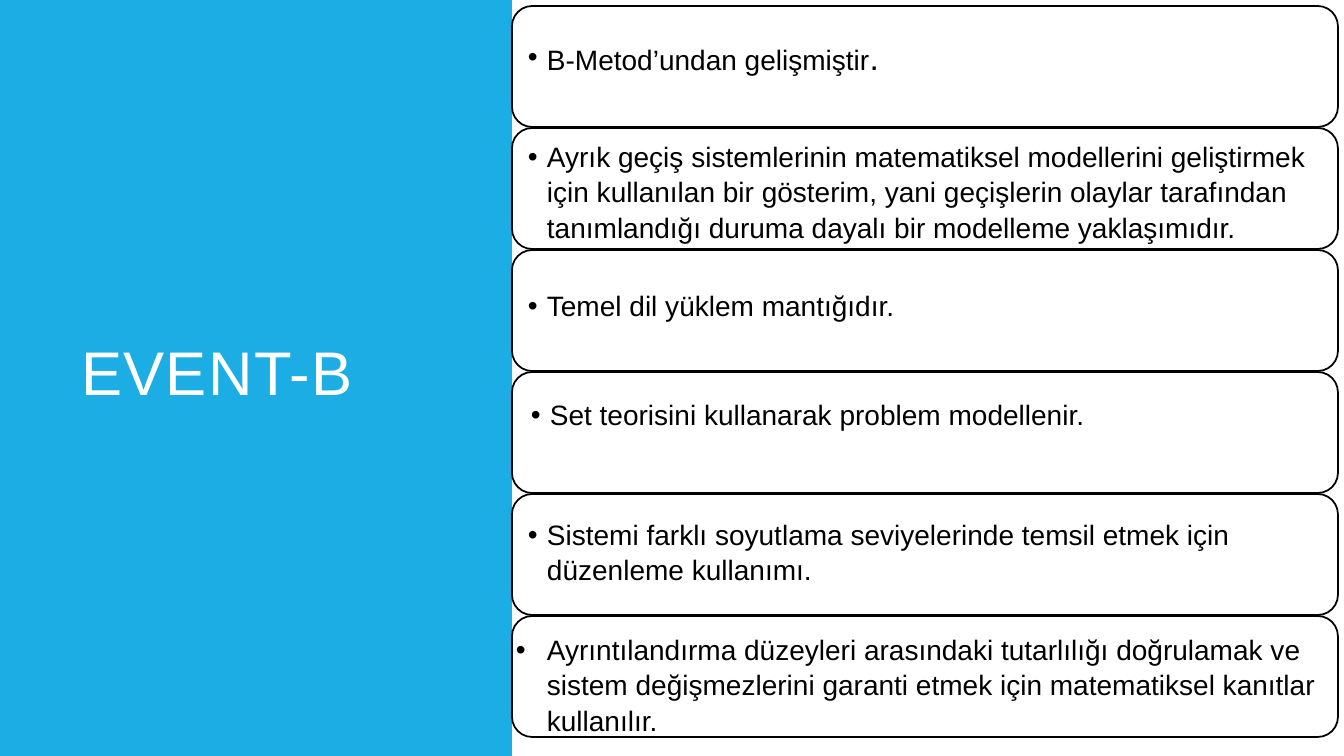
from pptx import Presentation
from pptx.dml.color import RGBColor
from pptx.enum.shapes import MSO_SHAPE as Preset
from pptx.enum.text import MSO_ANCHOR as Anchor, MSO_AUTO_SIZE as AutoSize, PP_ALIGN as Align
from pptx.oxml.ns import qn
from pptx.util import Pt
from lxml.etree import SubElement

THEME = {
    "font": "Arial",
    "blue": RGBColor(0x1C, 0xAD, 0xE4),
    "white": RGBColor(0xFF, 0xFF, 0xFF),
    "black": RGBColor(0x00, 0x00, 0x00),
    "title_size": 44,
    "body_size": 20,
    "period_size": 24,
    "outline": 1.25,
}


def px(*lengths):
    scaled = [round(length * 914400 / 100.8) for length in lengths]
    return scaled if len(scaled) > 1 else scaled[0]


def add_run(paragraph, text, size, color):
    run = paragraph.add_run()
    run.text = text
    run.font.name = THEME["font"]
    run.font.size = Pt(size)
    run.font.color.rgb = color
    return run


presentation = Presentation()
presentation.slide_width, presentation.slide_height = px(1344, 756)
slide = presentation.slides.add_slide(presentation.slide_layouts[5])

panel = slide.shapes.add_shape(Preset.RECTANGLE, *px(0, 0, 512, 756))
panel.shadow.inherit = False
panel.fill.solid()
panel.fill.fore_color.rgb = THEME["blue"]
panel.line.fill.background()

title = slide.shapes.title
title.left, title.top, title.width, title.height = px(71, 71, 377, 614)
slide.shapes._spTree.append(title._element)
title_frame = title.text_frame
title_frame.word_wrap = True
title_frame.auto_size = AutoSize.NONE
title_frame.vertical_anchor = Anchor.MIDDLE
title_paragraph = title_frame.paragraphs[0]
title_paragraph.alignment = Align.LEFT
title_paragraph.line_spacing = 0.8
title_run = add_run(title_paragraph, "EVENT-B", THEME["title_size"], THEME["white"])
title_run.font._element.set("spc", "100")

body = THEME["body_size"]
items = [
    (518, 30, 374, 82, 19, False,
     [("B-Metod’undan gelişmiştir", body), (".", THEME["period_size"])]),
    (518, 133, 825, 142, 19, True,
     [("Ayrık geçiş sistemlerinin matematiksel modellerini geliştirmek için kullanılan bir "
       "gösterim, yani geçişlerin olaylar tarafından tanımlandığı duruma dayalı bir "
       "modelleme yaklaşımıdır.", body)]),
    (518, 282, 389, 75, 19, False, [("Temel dil yüklem mantığıdır.", body)]),
    (521, 391, 579, 75, 19, False,
     [("Set teorisini kullanarak problem modellenir.", body)]),
    (518, 511, 800, 109, 19, True,
     [("Sistemi farklı soyutlama seviyelerinde temsil etmek için düzenleme kullanımı.", body)]),
    (506, 626, 825, 142, 31, True,
     [("Ayrıntılandırma düzeyleri arasındaki tutarlılığı doğrulamak ve sistem "
       "değişmezlerini garanti etmek için matematiksel kanıtlar kullanılır.", body)]),
]

frames = slide.shapes.add_group_shape()
for row in range(len(items)):
    frame = frames.shapes.add_shape(Preset.ROUNDED_RECTANGLE, *px(512, 6 + 122 * row, 826, 121))
    frame.shadow.inherit = False
    frame.fill.solid()
    frame.fill.fore_color.rgb = THEME["white"]
    frame.line.color.rgb = THEME["black"]
    frame.line.width = Pt(THEME["outline"])

for left, top, width, height, indent, wraps, runs in items:
    box = slide.shapes.add_textbox(*px(left, top, width, height))
    box.text_frame.word_wrap = wraps
    box.text_frame.auto_size = AutoSize.SHAPE_TO_FIT_TEXT
    paragraph = box.text_frame.paragraphs[0]
    properties = paragraph._p.get_or_add_pPr()
    properties.set("marL", str(px(indent)))
    properties.set("indent", str(-px(indent)))
    SubElement(properties, qn("a:buFont")).set("typeface", THEME["font"])
    SubElement(properties, qn("a:buChar")).set("char", "•")
    paragraph.alignment = Align.LEFT
    paragraph.line_spacing = 1.05
    paragraph.space_after = Pt(22)
    for text, size in runs:
        add_run(paragraph, text, size, THEME["black"])

presentation.save("out.pptx")
